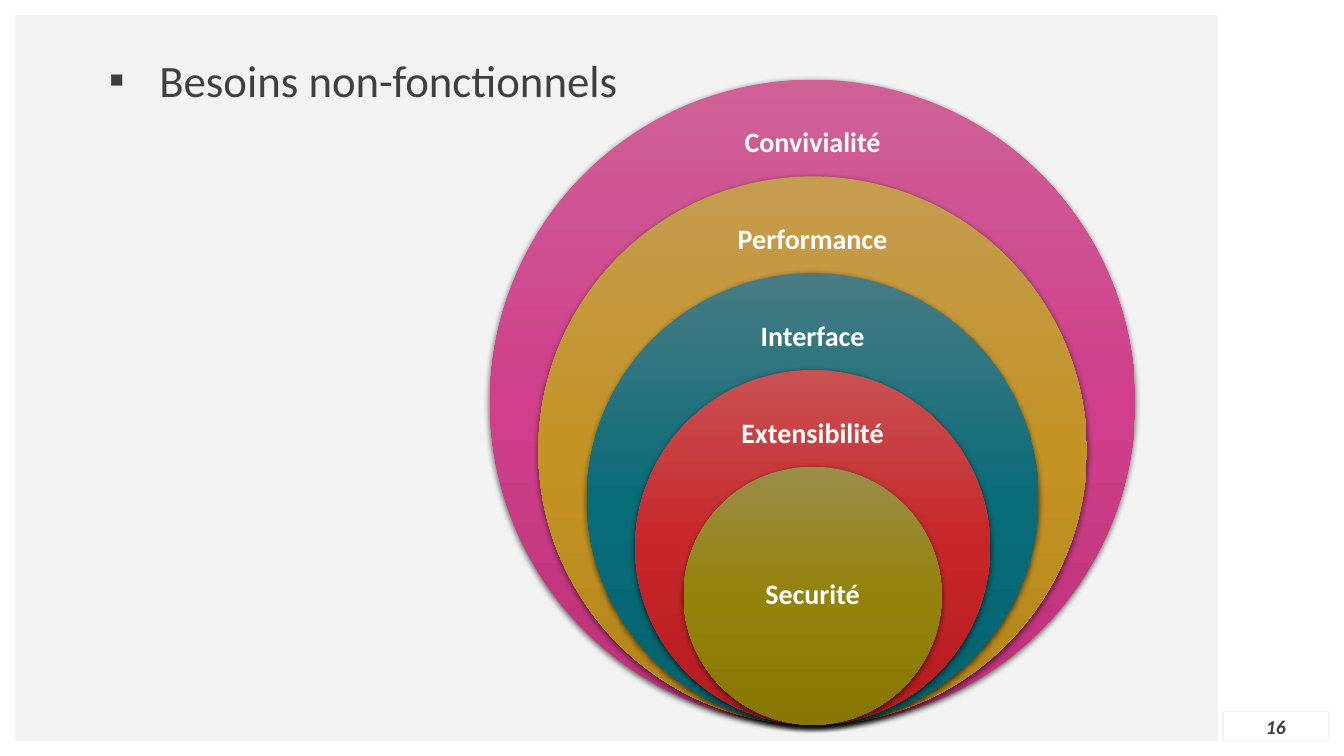
import pptx
import pptx.dml.color
import pptx.enum.shapes
import pptx.enum.text
import pptx.oxml
import pptx.oxml.ns
import pptx.util

PX = 9144  # 100 px to the inch
SLIDE_WIDTH, SLIDE_HEIGHT = 1333, 750
FONT = "Calibri"
COLORS = {"ground": "F2F2F2", "white": "FFFFFF", "text": "3F3F3F", "shadow": "000000"}
# Name and gradient of each circle, outermost first
NEEDS = [
    ("Convivialité", ("CF6197", "CF3F8B", "BE307A")),
    ("Performance", ("C59C50", "C39324", "B28419")),
    ("Interface", ("487B84", "096C79", "02626E")),
    ("Extensibilité", ("C95152", "C72629", "B61B1E")),
    ("Securité", ("9A8D48", "94830B", "877704")),
]
SHAPES = pptx.enum.shapes.MSO_SHAPE
ALIGN = pptx.enum.text.PP_ALIGN
ANCHOR = pptx.enum.text.MSO_ANCHOR


def rgb(name):
    return pptx.dml.color.RGBColor.from_string(COLORS[name])


def px(*lengths):
    return [pptx.util.Emu(length * PX) for length in lengths]


def element(xml):
    return pptx.oxml.parse_xml(xml.replace("/>", f" {pptx.oxml.ns.nsdecls('a')}/>", 1)
                               if xml.endswith("/>") and xml.count("<") == 1
                               else xml.replace(">", f" {pptx.oxml.ns.nsdecls('a')}>", 1))


def add_plain_shape(page, kind, box):
    shape = page.shapes.add_shape(kind, *px(*box))
    shape.shadow.inherit = False
    shape.line.fill.background()
    return shape


def write(shape, text, size, color, inset=(0, 0), align=ALIGN.CENTER,
          anchor=ANCHOR.MIDDLE, bold=False, italic=False):
    frame = shape.text_frame
    frame.text = text
    frame.word_wrap = True
    frame.auto_size = pptx.enum.text.MSO_AUTO_SIZE.NONE
    frame.vertical_anchor = anchor
    frame.margin_left, frame.margin_top = px(*inset)
    frame.margin_right, frame.margin_bottom = px(*inset)
    para = frame.paragraphs[0]
    para.alignment = align
    font = para.runs[0].font
    font.name, font.size = FONT, pptx.util.Pt(size)
    font.bold, font.italic = bold, italic
    font.color.rgb = rgb(color)
    return para


def add_frame(page, box):
    """White bands along the four edges."""
    left, top, width, height = box
    thin, wide = 15, 135
    for band in (
        (left, top, width, thin),
        (left, top, thin, height),
        (left + width - wide + 10, top, wide - 10, height),
        (left, top + height - thin, width, thin),
    ):
        shape = add_plain_shape(page, SHAPES.RECTANGLE, band)
        shape.fill.solid()
        shape.fill.fore_color.rgb = rgb("white")


def add_page_number(page, box, number):
    shape = add_plain_shape(page, SHAPES.RECTANGLE, box)
    shape.fill.background()
    shape.line.color.rgb = rgb("ground")
    shape.line.width = pptx.util.Pt(0.75)
    write(shape, number, 14, "text", bold=True, italic=True)


def set_heading(page, box, text):
    """Title with a square bullet and a hanging indent."""
    title = page.shapes.title
    title.left, title.top, title.width, title.height = px(*box)
    para = write(title, text, 32, "text", (10, 5), ALIGN.LEFT, ANCHOR.TOP)
    properties = para._p.get_or_add_pPr()
    indent = px(50)[0]
    properties.set("marL", str(indent))
    properties.set("indent", str(-indent))
    properties.append(element(f'<a:buClr><a:srgbClr val="{COLORS["text"]}"/></a:buClr>'))
    properties.append(element('<a:buFont typeface="Arial"/>'))
    properties.append(element('<a:buChar char="▪"/>'))


def add_circle(page, box, gradient):
    circle = add_plain_shape(page, SHAPES.OVAL, box)
    circle.fill.gradient()
    circle.fill.gradient_angle = 270
    properties = circle._element.spPr
    stops = properties.find(".//" + pptx.oxml.ns.qn("a:gsLst"))
    for stop in list(stops):
        stops.remove(stop)
    for index, color in enumerate(gradient):
        stops.append(element(f'<a:gs pos="{index * 50000}"><a:srgbClr val="{color}"/></a:gs>'))
    blur, distance = pptx.util.Pt(4.5), pptx.util.Pt(1.5)
    properties.find(pptx.oxml.ns.qn("a:effectLst")).append(element(
        f'<a:outerShdw blurRad="{blur}" dist="{distance}" dir="5400000" algn="ctr" '
        f'rotWithShape="0"><a:srgbClr val="{COLORS["shadow"]}">'
        '<a:alpha val="63000"/></a:srgbClr></a:outerShdw>'))


def add_nested_circles(page, box):
    """Circles that shrink by an equal step and share their lowest point."""
    left, top, width, height = box
    step = width * 3 // 20
    label_width = 240
    for index, (name, gradient) in enumerate(NEEDS):
        size = width - index * step
        circle_left = left + (width - size) // 2
        circle_top = top + height - size
        add_circle(page, (circle_left, circle_top, size, size), gradient)

        # The innermost label is centred, the others sit in their ring
        innermost = index == len(NEEDS) - 1
        offset, label_height = (size // 4, size // 2) if innermost else (step // 3, 63)
        label = page.shapes.add_textbox(*px(
            left + (width - label_width) // 2, circle_top + offset, label_width, label_height))
        para = write(label, name, 20, "white", (16, 16), bold=True)
        para.line_spacing = 0.9


def main():
    deck = pptx.Presentation()
    deck.slide_width, deck.slide_height = px(SLIDE_WIDTH, SLIDE_HEIGHT)
    page = deck.slides.add_slide(deck.slide_layouts.get_by_name("Title Only"))
    page.background.fill.solid()
    page.background.fill.fore_color.rgb = rgb("ground")

    add_frame(page, (0, 0, SLIDE_WIDTH, SLIDE_HEIGHT))
    add_page_number(page, (1213, 706, 105, 29), "16")
    set_heading(page, (98, 47, 867, 64), "Besoins non-fonctionnels")
    add_nested_circles(page, (486, 79, 640, 640))
    deck.save("out.pptx")


if __name__ == "__main__":
    main()
